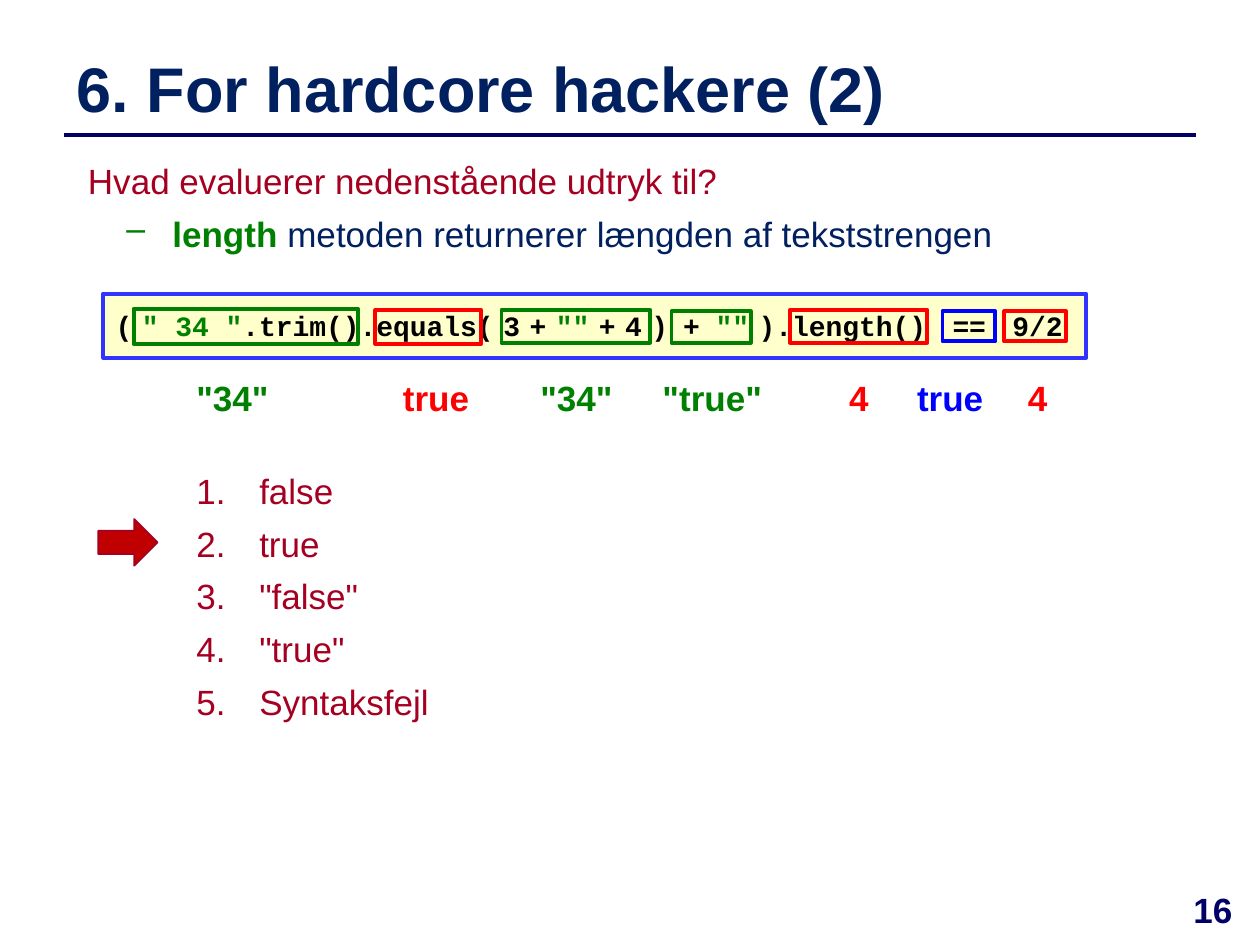
from dataclasses import dataclass
from lxml.etree import SubElement as Sub
from pptx import Presentation
from pptx.dml.color import RGBColor as Rgb
from pptx.enum.shapes import MSO_CONNECTOR as Link, MSO_SHAPE as Shape
from pptx.enum.text import MSO_ANCHOR as Anchor, PP_ALIGN as Align
from pptx.oxml.ns import qn
from pptx.util import Inches, Pt


@dataclass(frozen=True)
class Theme:
    """Colours, fonts and type sizes of the slide."""
    navy: str = "002060"
    rule: str = "000066"
    wine: str = "A50021"
    green: str = "008000"
    red: str = "FF0000"
    blue: str = "0000FF"
    black: str = "000000"
    cream: str = "FFFFCC"
    frame: str = "3333FF"
    arrow: str = "C00000"
    sans: str = "Arial"
    mono: str = "Courier New"
    head: int = 36
    body: int = 20
    code: int = 16
    gap: int = 9


T = Theme()
COLS, ROWS = 100, 75
WIDTH, HEIGHT = Inches(10), Inches(7.5)

CODE = ["(", " ", '" 34 "', ".trim().equals(", " ", "3", " ", "+", " ", '""',
        " ", "+", " ", "4", " ", ") + ", '""', " ", ").length() ", " ",
        "== ", " ", "9/2"]
TIGHT = range(13, 16)
STEPS = [
    ('"34"', T.green, 14.6, 7.8, (10.6, 24.5, 17.8, 2.8)),
    ("true", T.red, 31, 7.3, (29.8, 24.6, 8.4, 2.7)),
    ('"34"', T.green, 41.9, 7.8, (39.8, 24.6, 11.8, 2.6)),
    ('"true"', T.green, 51.6, 10, (53.3, 24.7, 6.3, 2.5)),
    ("4", T.red, 66.4, 3.6, (62.7, 24.6, 10.9, 2.6)),
    ("true", T.blue, 71.8, 7.3, (74.8, 24.7, 4.2, 2.4)),
    ("4", T.red, 80.6, 3.3, (79.7, 24.7, 4.9, 2.4)),
]
ANSWERS = ["false", "true", '"false"', '"true"', "Syntaksfejl"]


def grid(col, row, wide=0, high=0):
    """Turn columns and rows into slide lengths."""
    return (int(WIDTH * col / COLS), int(HEIGHT * row / ROWS),
            int(WIDTH * wide / COLS), int(HEIGHT * high / ROWS))


def style(run, color, size=T.body, bold=False, face=T.sans):
    """Format one run."""
    font = run.font
    font.name, font.size, font.bold = face, Pt(size), bold
    font.color.rgb = Rgb.from_string(color)


def write(para, text, color, **look):
    """Add a formatted run to a paragraph."""
    run = para.add_run()
    run.text = text
    style(run, color, **look)
    return run


def bullet(para, left, hang, tag, **attrs):
    """Give a paragraph a hanging bullet or number."""
    props = para._p.get_or_add_pPr()
    props.set("marL", str(Inches(left)))
    props.set("indent", str(-Inches(hang)))
    Sub(props, qn(tag), **attrs)


def text_box(slide, box, wrap=True):
    """Add an empty text box and return its frame."""
    frame = slide.shapes.add_textbox(*grid(*box)).text_frame
    frame.word_wrap = wrap
    return frame


def block(slide, kind, box, line, width, fill=None):
    """Add an outlined shape, filled if a colour is given."""
    shape = slide.shapes.add_shape(kind, *grid(*box))
    shape.shadow.inherit = False
    shape.line.color.rgb = Rgb.from_string(line)
    shape.line.width = Pt(width)
    if fill:
        shape.fill.solid()
        shape.fill.fore_color.rgb = Rgb.from_string(fill)
    else:
        shape.fill.background()
    return shape


def heading(slide):
    """Place the title and the rule below it."""
    title = slide.shapes.title
    title.left, title.top, title.width, title.height = grid(5.1, 3.6, 89.8, 6.7)
    frame = title.text_frame
    frame.text = "6. For hardcore hackere (2)"
    frame.vertical_anchor = Anchor.MIDDLE
    para = frame.paragraphs[0]
    para.alignment = Align.LEFT
    style(para.runs[0], T.navy, T.head, True)
    start, end = grid(5.1, 10.7)[:2], grid(94.9, 10.7)[:2]
    rule = slide.shapes.add_connector(Link.STRAIGHT, *start, *end)
    rule.line.color.rgb = Rgb.from_string(T.rule)
    rule.line.width = Pt(2)
    Sub(rule._element.spPr, qn("a:effectLst"))


def question(slide):
    """Write the question and its hint."""
    frame = text_box(slide, (6, 12.2, 84.7, 11.9))
    write(frame.paragraphs[0], "Hvad evaluerer nedenstående udtryk til?", T.wine)
    hint = frame.add_paragraph()
    hint.level = 1
    hint.space_before = Pt(6)
    bullet(hint, 0.67, 0.38, "a:buChar", char="‒")
    write(hint, "length ", T.green, bold=True)
    write(hint, "metoden returnerer længden af tekststrengen", T.navy)


def code(slide):
    """Write the expression in its frame."""
    shape = block(slide, Shape.RECTANGLE, (8.2, 23.3, 78, 5.1),
                  T.frame, 2.25, T.cream)
    frame = shape.text_frame
    frame.word_wrap = True
    frame.vertical_anchor = Anchor.TOP
    frame.margin_top = frame.margin_bottom = Inches(0.12)
    para = frame.paragraphs[0]
    para.alignment = Align.LEFT
    for spot, part in enumerate(CODE):
        color = T.green if part.startswith('"') else T.black
        size = T.gap if part == " " else T.code
        run = write(para, part, color, size=size, bold=True, face=T.mono)
        if spot in TIGHT:
            run._r.get_or_add_rPr().set("spc", "-50")


def step(slide, text, color, left, wide, mark):
    """Frame a part of the expression and write its value below."""
    block(slide, Shape.RECTANGLE, mark, color, 2.25)
    para = text_box(slide, (left, 29.4, wide, 4.4), False).paragraphs[0]
    para.space_after = Pt(6)
    write(para, text, color, bold=True)


def answers(slide):
    """List the answers and point at the right one."""
    frame = text_box(slide, (14.6, 36.8, 26, 21.2))
    frame.text = "\n".join(ANSWERS)
    for para in frame.paragraphs:
        para.space_after = Pt(6)
        bullet(para, 0.5, 0.5, "a:buAutoNum", type="arabicPeriod")
        style(para.runs[0], T.wine)
    block(slide, Shape.RIGHT_ARROW, (7.8, 41.2, 4.7, 3.7), T.wine, 1, T.arrow)


def number(slide):
    """Write the page number."""
    para = text_box(slide, (92.5, 70, 7.5, 5)).paragraphs[0]
    para.alignment = Align.CENTER
    write(para, "16", T.rule, bold=True)


def main():
    """Build and save the slide."""
    deck = Presentation()
    deck.slide_width, deck.slide_height = WIDTH, HEIGHT
    slide = deck.slides.add_slide(deck.slide_layouts[5])
    heading(slide)
    number(slide)
    code(slide)
    question(slide)
    answers(slide)
    for item in STEPS:
        step(slide, *item)
    deck.save("out.pptx")


if __name__ == "__main__":
    main()
